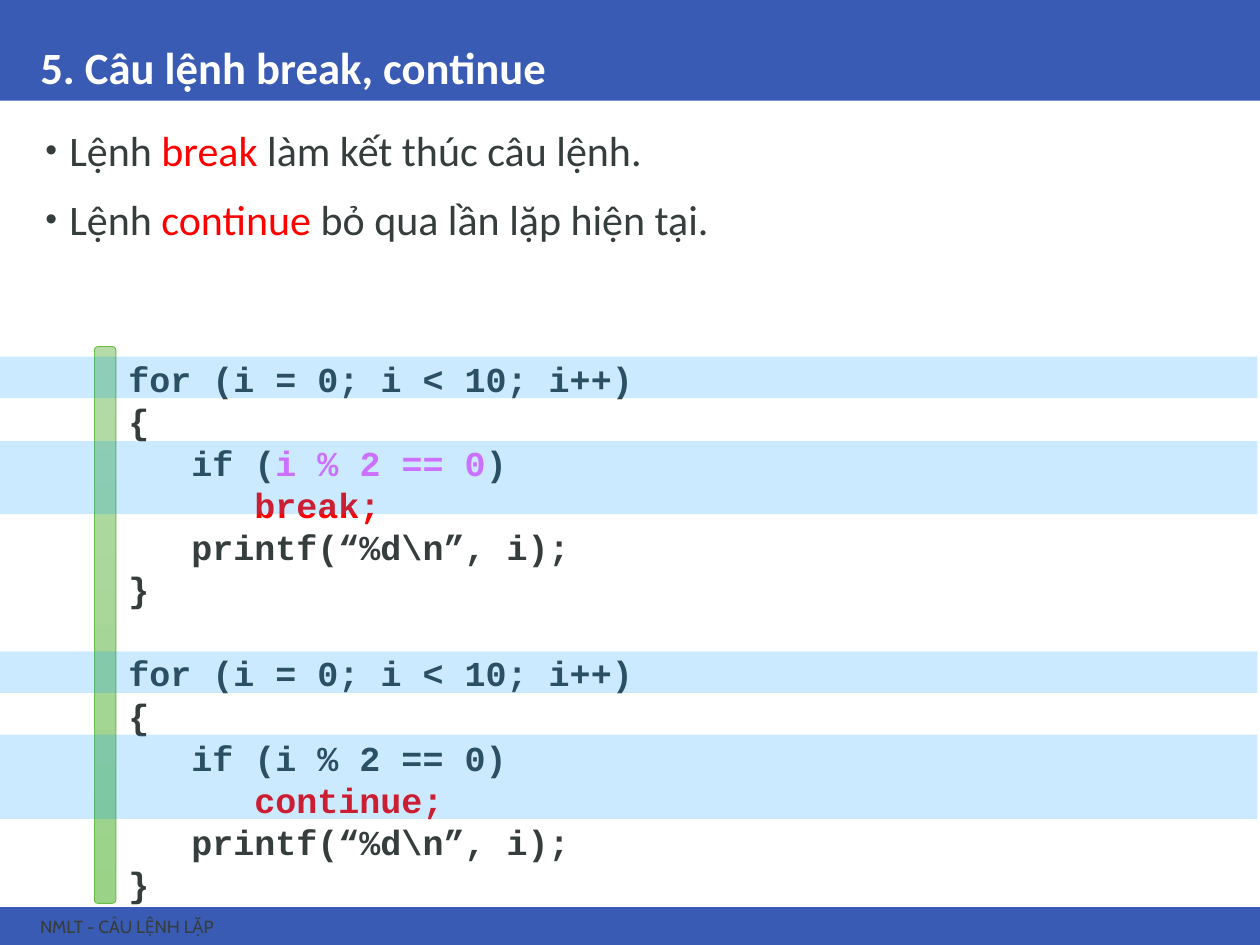
from lxml.etree import SubElement
from pptx import Presentation
from pptx.dml.color import RGBColor
from pptx.enum.shapes import MSO_SHAPE as Shape
from pptx.enum.text import MSO_ANCHOR as Anchor, MSO_AUTO_SIZE as AutoSize, PP_ALIGN as Align
from pptx.oxml.ns import qn
from pptx.util import Inches, Pt

BLUE, DARK, RED, PINK, WHITE = "3A5BB3", "363D3D", "FF0000", "FF66FF", "FFFFFF"

TITLE = "5. Câu lệnh break, continue"
FOOTER = "NMLT - CÂU LỆNH LẶP"
# Each line is a list of (text, colour) runs.
BULLETS = [
    [("Lệnh ", DARK), ("break ", RED), ("làm kết thúc câu lệnh.", DARK)],
    [("Lệnh ", DARK), ("continue ", RED), ("bỏ qua lần lặp hiện tại.", DARK)],
]
LOOPS = [
    ([("\tif (", DARK), ("i % 2 == 0", PINK), (")", DARK)], "break;"),
    ([("\tif (i % 2 == 0)", DARK)], "continue;"),
]
BARS = [(0, 0.8), (7.2, 0.3)]  # top, height
HIGHLIGHTS = [(2.83, 0.33), (3.5, 0.58), (5.17, 0.33), (5.83, 0.67)]
CODE_PITCH = Pt(24)


def rgb(colour):
    return RGBColor.from_string(colour)


def place(shape, left, top, width, height):
    shape.left, shape.top = Inches(left), Inches(top)
    shape.width, shape.height = Inches(width), Inches(height)


def add_box(kind, left, top, width, height, colour=None):
    box = slide.shapes.add_shape(
        kind, Inches(left), Inches(top), Inches(width), Inches(height))
    box.shadow.inherit = False
    box.line.fill.background()
    if colour:
        box.fill.solid()
        box.fill.fore_color.rgb = rgb(colour)
    return box


def add_text(left, top, width, height):
    box = slide.shapes.add_textbox(
        Inches(left), Inches(top), Inches(width), Inches(height))
    box.text_frame.word_wrap = True
    return box.text_frame


def write_lines(frame, lines, font_name, size, bold=False):
    """Write one paragraph per line of coloured runs."""
    for index, line in enumerate(lines):
        paragraph = frame.add_paragraph() if index else frame.paragraphs[0]
        paragraph.alignment = Align.LEFT
        font = paragraph.font
        font.name, font.size, font.bold = font_name, Pt(size), bold
        for text, colour in line:
            run = paragraph.add_run()
            run.text = text
            run.font.color.rgb = rgb(colour)


def add_bullet(paragraph):
    properties = paragraph._p.get_or_add_pPr()
    properties.set("marL", str(Inches(0.23)))
    properties.set("indent", str(Inches(-0.19)))
    paragraph.line_spacing = 0.9
    paragraph.space_before = Pt(13.5)
    size = SubElement(properties, qn("a:buSzPct"))
    size.set("val", "80000")
    SubElement(properties, qn("a:buFont")).set("typeface", "Arial")
    SubElement(properties, qn("a:buChar")).set("char", "•")
    # The paragraph's default font has to follow the bullet settings.
    properties.append(properties.find(qn("a:defRPr")))


def loop_lines(condition, statement):
    return [
        [("for (i = 0; i < 10; i++)", DARK)],
        [("{", DARK)],
        condition,
        [("\t\t" + statement, RED)],
        [("\tprintf(“%d\\n”, i);", DARK)],
        [("}", DARK)],
    ]


presentation = Presentation()
presentation.slide_width, presentation.slide_height = Inches(10), Inches(7.5)
slide = presentation.slides.add_slide(presentation.slide_layouts[1])
title, body = slide.placeholders

for top, height in BARS:
    bar = add_box(Shape.RECTANGLE, 0, top, 10, height, BLUE)
    title._element.addprevious(bar._element)

place(title, 0.22, 0, 9.57, 0.8)
title.text_frame.auto_size = AutoSize.NONE
title.text_frame.vertical_anchor = Anchor.BOTTOM
write_lines(title.text_frame, [[(TITLE, WHITE)]], "Calibri", 25.5, bold=True)
title.text_frame.paragraphs[0].line_spacing = 0.9

place(body, 0.22, 0.98, 9.57, 6.05)
body.text_frame.auto_size = AutoSize.NONE
write_lines(body.text_frame, BULLETS, "Calibri", 24)
for paragraph in body.text_frame.paragraphs:
    add_bullet(paragraph)

footer = add_text(0.22, 7.22, 8.26, 0.26)
footer.vertical_anchor = Anchor.MIDDLE
write_lines(footer, [[(FOOTER, DARK)]], "Cabin", 10)

margin = add_box(Shape.ROUNDED_RECTANGLE, 0.75, 2.75, 0.17, 4.42)
margin.fill.gradient()
margin.fill.gradient_angle = 270
for stop, colour in zip(margin.fill.gradient_stops, ("B4DBA8", "9AD288")):
    stop.color.rgb = rgb(colour)
for stop, position in zip(margin.fill.gradient_stops, (0, 1)):
    stop.position = position
margin.line.color.rgb = rgb("6ABD45")
margin.line.width = Pt(0.5)

code = add_text(0.92, 2.75, 7.67, 4.48)
code.margin_top = Inches(0.09)
blocks = [loop_lines(*loop) for loop in LOOPS]
write_lines(code, sum(blocks, []), "Courier New", 20, bold=True)
for paragraph in code.paragraphs:
    paragraph.line_spacing = CODE_PITCH
code.paragraphs[len(blocks[0])].space_before = CODE_PITCH

for top, height in HIGHLIGHTS:
    highlight = add_box(Shape.RECTANGLE, 0, top, 9.98, height, "0099FF")
    colour = highlight._element.spPr.find(qn("a:solidFill"))[0]
    SubElement(colour, qn("a:alpha")).set("val", "20000")

presentation.save("out.pptx")
